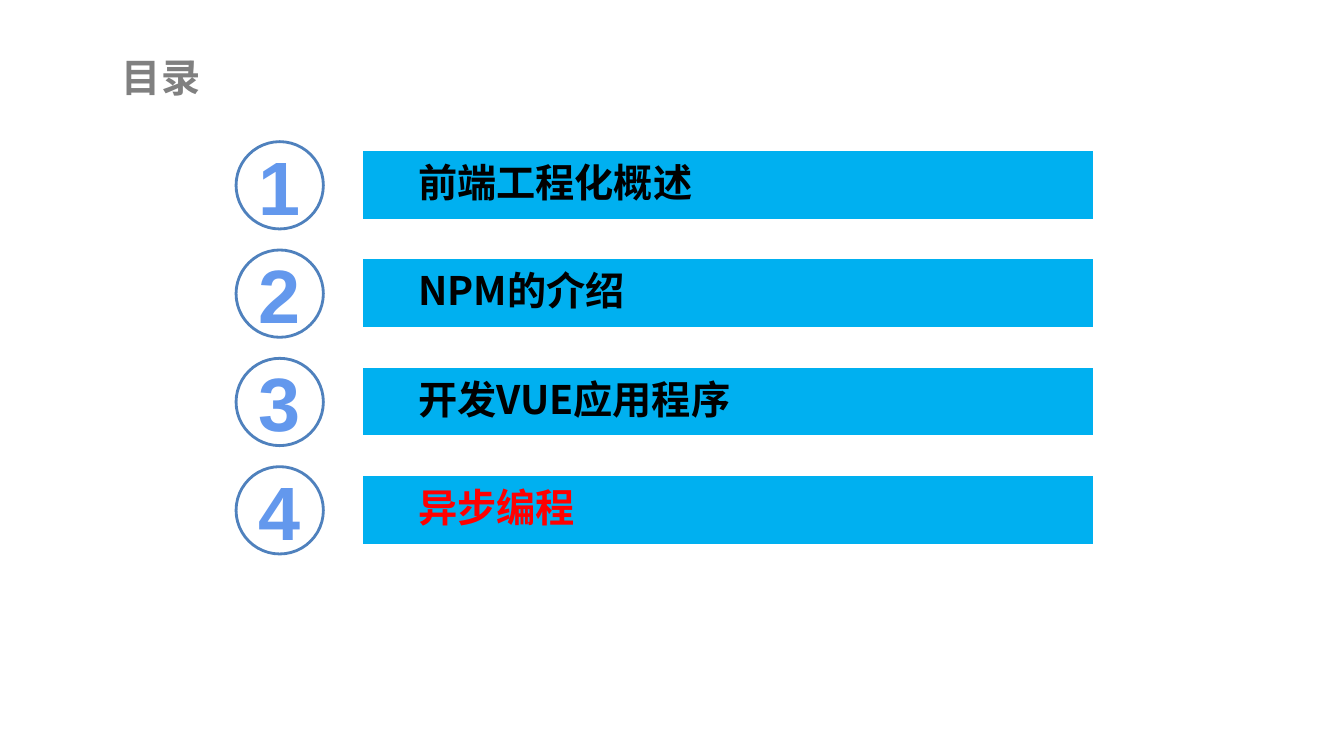
from lxml.etree import SubElement as Sub, Element
from pptx import Presentation
from pptx.dml.color import RGBColor
from pptx.enum.shapes import MSO_SHAPE as Shape
from pptx.enum.text import MSO_ANCHOR as Anchor, MSO_AUTO_SIZE as AutoSize, PP_ALIGN as Align
from pptx.oxml.ns import qn
from pptx.util import Cm, Pt

TOPICS = [
    ("前端工程化概述", "000000"),
    ("NPM的介绍", "000000"),
    ("开发VUE应用程序", "000000"),
    ("异步编程", "FF0000"),
]
FIRST_TOP = 3.57
ROW_PITCH = 2.73


def colour(value):
    """Turn a hex string into a colour."""
    return RGBColor.from_string(value)


class AgendaPage:
    """Style and current slide of the agenda."""

    heading_font = "Noto Sans CJK SC"
    number_font = "Arial"

    def __init__(self, deck):
        """Add a slide that has only a title."""
        self.page = deck.slides.add_slide(deck.slide_layouts[5])

    def span(self, para, text, size, font, hex_colour):
        """Add one bold run."""
        span = para.add_run()
        span.text = text
        span.font.size = Pt(size)
        span.font.bold = True
        span.font.color.rgb = colour(hex_colour)
        span.font.name = font
        Sub(span.font._element, qn("a:ea"), typeface=font)
        return span

    def title(self, text, left, top, width, height):
        """Fill and place the title."""
        box = self.page.shapes.title
        box.left, box.top, box.width, box.height = map(Cm, (left, top, width, height))
        frame = box.text_frame
        frame.word_wrap = False
        frame.auto_size = AutoSize.NONE
        frame.vertical_anchor = Anchor.TOP
        para = frame.paragraphs[0]
        para.alignment = Align.LEFT
        self.span(para, text, 28, self.heading_font, "808080")

    def shape(self, kind, left, top, width, height, fill, line):
        """Add a flat outlined shape."""
        box = self.page.shapes.add_shape(kind, Cm(left), Cm(top), Cm(width), Cm(height))
        box.shadow.inherit = False
        box.fill.solid()
        box.fill.fore_color.rgb = colour(fill)
        box.line.color.rgb = colour(line)
        box.line.width = Pt(2)
        return box

    def bar(self, text, hex_colour, top):
        """Add a topic bar."""
        box = self.shape(Shape.RECTANGLE, 9.12, top, 18.47, 1.78, "00B0F0", "FFFFFF")
        frame = box.text_frame
        frame.word_wrap = True
        frame.vertical_anchor = Anchor.MIDDLE
        frame.margin_left = Cm(1.42)
        frame.margin_right = frame.margin_top = frame.margin_bottom = Cm(0.2)
        para = frame.paragraphs[0]
        para.alignment = Align.LEFT
        para.line_spacing = 0.9
        self.span(para, text, 28, self.heading_font, hex_colour)

    def circle(self, top):
        """Add the ring around a number."""
        self.shape(Shape.OVAL, 5.95, top, 2.2, 2.2, "FFFFFF", "4F81BD")

    def number(self, text, top):
        """Add a large number with a soft shadow."""
        box = self.page.shapes.add_textbox(Cm(6.2), Cm(top), Cm(1.68), Cm(2.56))
        frame = box.text_frame
        frame.word_wrap = False
        para = frame.paragraphs[0]
        para.alignment = Align.CENTER
        span = self.span(para, text, 54, self.number_font, "6398ED")
        style = span.font._element
        style.set("spc", "300")
        effects = Element(qn("a:effectLst"))
        shadow = Sub(effects, qn("a:outerShdw"), blurRad="0", dist="25400", dir="2700000")
        Sub(shadow, qn("a:srgbClr"), val="B9D9F8")
        style.find(qn("a:solidFill")).addnext(effects)


def main():
    """Build the agenda and save it."""
    deck = Presentation()
    deck.slide_width, deck.slide_height = Cm(33.87), Cm(19.05)
    agenda = AgendaPage(deck)
    agenda.title("目录", 2.82, 1.22, 2.51, 1.45)
    for index, (topic, hex_colour) in enumerate(TOPICS):
        top = FIRST_TOP + index * ROW_PITCH
        agenda.circle(top)
        agenda.bar(topic, hex_colour, top + 0.2)
        agenda.number(str(index + 1), top - 0.18)
    deck.save("out.pptx")


if __name__ == "__main__":
    main()
